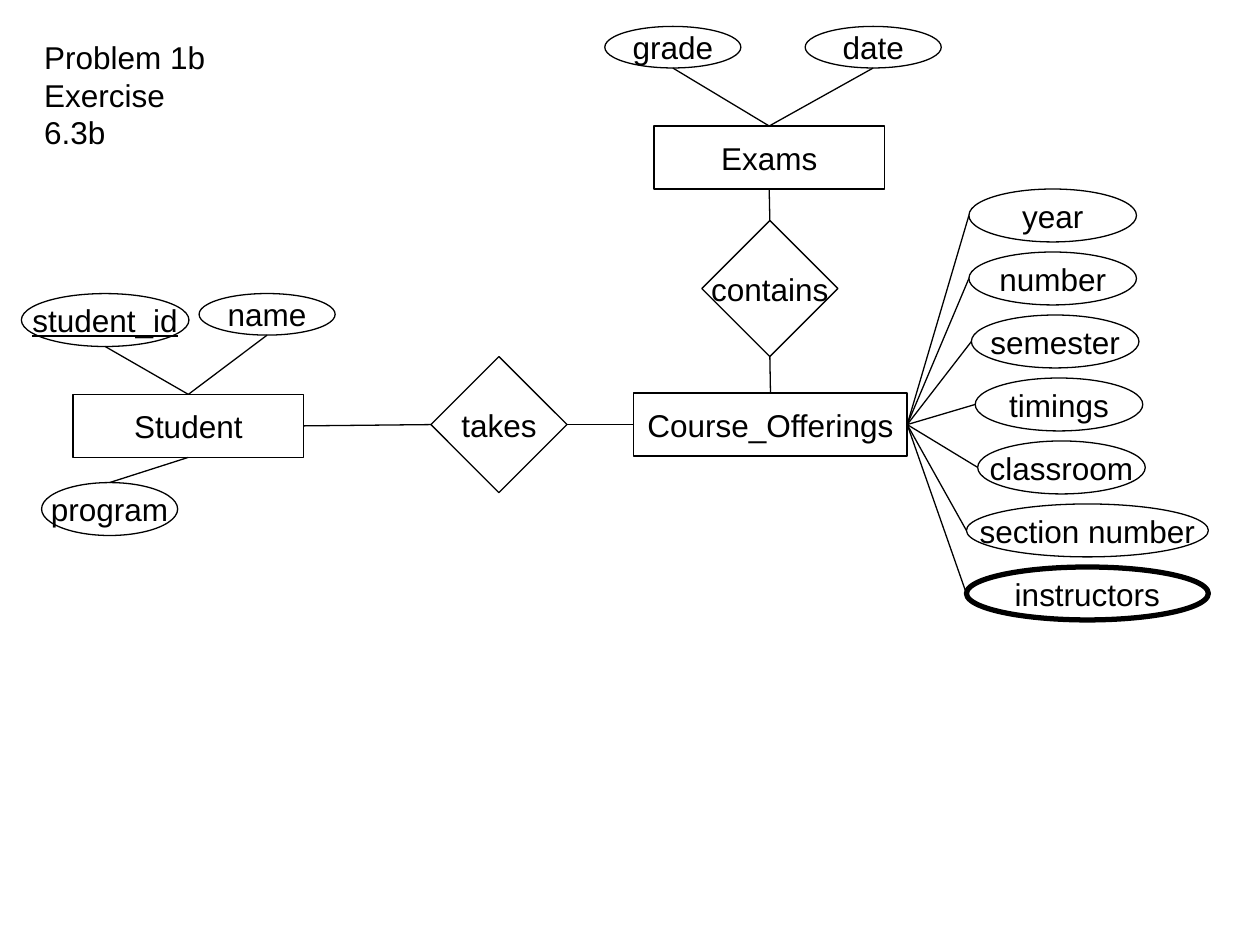
import pptx
import pptx.dml.color
import pptx.enum.shapes
import pptx.enum.text
import pptx.oxml.ns
import pptx.util
from lxml import etree
from pptx.util import Inches

THEME = {
    "ink": pptx.dml.color.RGBColor(0, 0, 0),
    "font": "Arial",
    "text": pptx.util.Pt(18),
    "thin": pptx.util.Pt(0.75),
    "thick": pptx.util.Pt(3),
}
SHAPE = pptx.enum.shapes.MSO_SHAPE
ALIGN = pptx.enum.text.PP_ALIGN
ANCHOR = pptx.enum.text.MSO_ANCHOR
TOP, LEFT, BOTTOM, RIGHT = range(4)

presentation = pptx.Presentation()
presentation.slide_width, presentation.slide_height = Inches(10), Inches(7.5)
slide = presentation.slides.add_slide(presentation.slide_layouts[5])


def write(holder, text, align, anchor, underline=None):
    frame = holder.text_frame
    frame.text = text
    frame_format = {
        "word_wrap": False, "vertical_anchor": anchor,
        "margin_left": Inches(0.1), "margin_right": Inches(0.1),
        "margin_top": Inches(0.05), "margin_bottom": Inches(0.05),
    }
    for attribute, value in frame_format.items():
        setattr(frame, attribute, value)
    for paragraph in frame.paragraphs:
        paragraph.alignment = align
        for run in paragraph.runs:
            font_format = {"name": THEME["font"], "size": THEME["text"], "underline": underline}
            for attribute, value in font_format.items():
                setattr(run.font, attribute, value)
            run.font.color.rgb = THEME["ink"]


def link(start, start_side, end, end_side):
    points = []
    for node, side in ((start, start_side), (end, end_side)):
        x = node.left + {LEFT: 0, RIGHT: node.width}.get(side, node.width // 2)
        y = node.top + {TOP: 0, BOTTOM: node.height}.get(side, node.height // 2)
        points += [x, y]
    line = slide.shapes.add_connector(pptx.enum.shapes.MSO_CONNECTOR.STRAIGHT, *points)
    line.line.color.rgb = THEME["ink"]
    line.line.width = THEME["thin"]
    etree.SubElement(line._element.spPr, pptx.oxml.ns.qn("a:effectLst"))
    # Ellipses number their sites differently, so only four-sided nodes are joined
    if start.auto_shape_type != SHAPE.OVAL:
        line.begin_connect(start, start_side)
    if end.auto_shape_type != SHAPE.OVAL:
        line.end_connect(end, end_side)


# Heading
heading = slide.shapes.title
heading_place = {"left": 0.25, "top": 0.25, "width": 1.71, "height": 0.7}
for attribute, value in heading_place.items():
    setattr(heading, attribute, Inches(value))
write(heading, "Problem 1b\vExercise 6.3b", ALIGN.LEFT, ANCHOR.TOP)
heading.text_frame.auto_size = pptx.enum.text.MSO_AUTO_SIZE.SHAPE_TO_FIT_TEXT

# Entities, relationships and attributes: name, left, top, width, height
node_groups = {
    SHAPE.RECTANGLE: [
        ("Student", 0.58, 3.13, 1.83, 0.5),
        ("Course_Offerings", 5.03, 3.12, 2.17, 0.5),
        ("Exams", 5.19, 1, 1.83, 0.5),
    ],
    SHAPE.DIAMOND: [
        ("takes", 3.42, 2.83, 1.08, 1.08),
        ("contains", 5.57, 1.75, 1.08, 1.08),
    ],
    SHAPE.OVAL: [
        ("student_id", 0.17, 2.33, 1.33, 0.42),
        ("name", 1.58, 2.33, 1.08, 0.33),
        ("program", 0.33, 3.83, 1.08, 0.42),
        ("grade", 4.8, 0.21, 1.08, 0.33),
        ("date", 6.39, 0.21, 1.08, 0.33),
    ],
}

# Course attributes stand in one column, half an inch apart
course_attributes = [
    ("year", 7.69, 1.33), ("number", 7.69, 1.33), ("semester", 7.71, 1.33),
    ("timings", 7.74, 1.33), ("classroom", 7.76, 1.33),
    ("section number", 7.67, 1.92), ("instructors", 7.67, 1.92),
]
for row, (name, left, width) in enumerate(course_attributes):
    node_groups[SHAPE.OVAL].append((name, left, 1.5 + 0.5 * row, width, 0.42))

nodes = {}
for kind, members in node_groups.items():
    for name, *place in members:
        node = slide.shapes.add_shape(kind, *map(Inches, place))
        node.shadow.inherit = False
        node.fill.background()
        node.line.color.rgb = THEME["ink"]
        node.line.width = THEME["thick" if name == "instructors" else "thin"]
        # The key attribute is underlined
        write(node, name, ALIGN.CENTER, ANCHOR.MIDDLE, name == "student_id" or None)
        nodes[name] = node

# Links
links = [
    ("student_id", BOTTOM, "Student", TOP),
    ("name", BOTTOM, "Student", TOP),
    ("program", TOP, "Student", BOTTOM),
    ("grade", BOTTOM, "Exams", TOP),
    ("date", BOTTOM, "Exams", TOP),
    ("Student", RIGHT, "takes", LEFT),
    ("takes", RIGHT, "Course_Offerings", LEFT),
    ("contains", TOP, "Exams", BOTTOM),
    ("contains", BOTTOM, "Course_Offerings", TOP),
]
links += [(name, LEFT, "Course_Offerings", RIGHT) for name, _, _ in course_attributes]
for start, start_side, end, end_side in links:
    link(nodes[start], start_side, nodes[end], end_side)

presentation.save("out.pptx")
